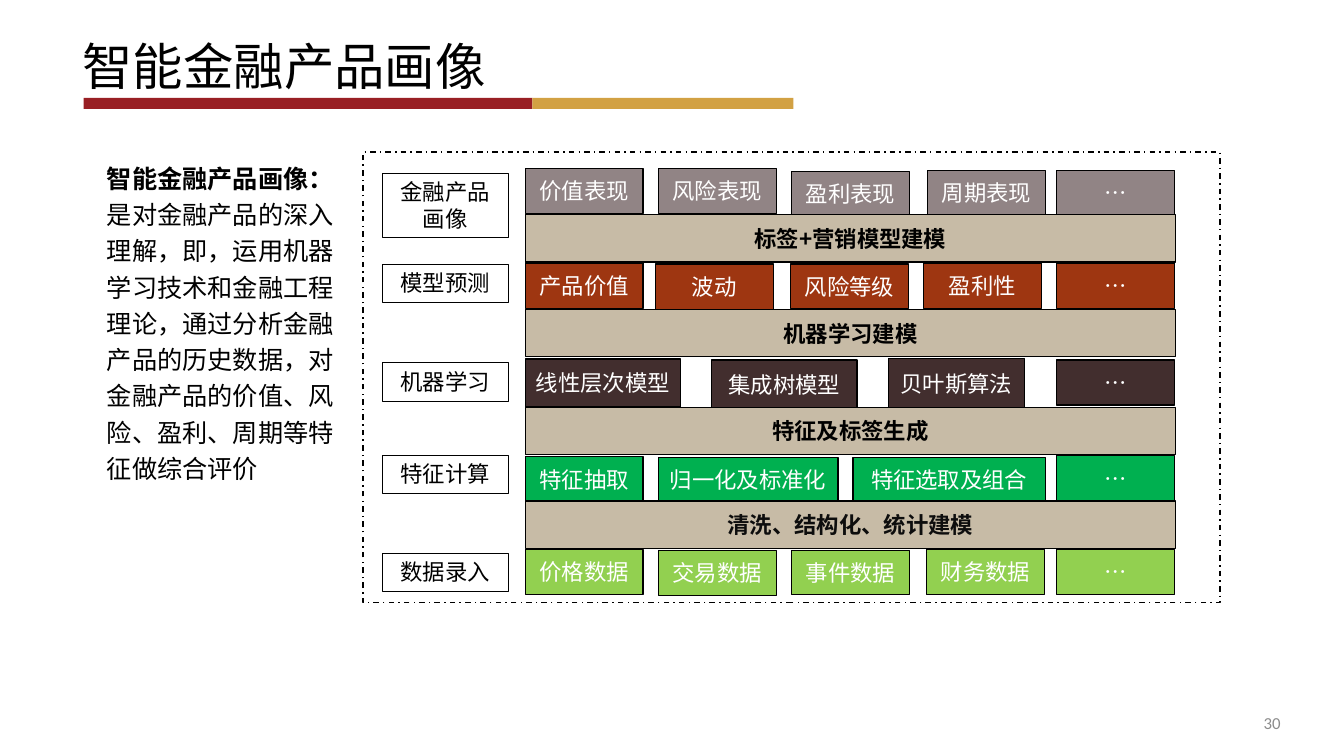
"""Build the slide on layered profiling of financial products."""
from dataclasses import dataclass
from typing import NamedTuple, Optional

from lxml.etree import SubElement
from pptx import Presentation
from pptx.dml.color import RGBColor
from pptx.enum.dml import MSO_LINE
from pptx.enum.lang import MSO_LANGUAGE_ID
from pptx.enum.shapes import MSO_SHAPE
from pptx.enum.text import MSO_ANCHOR, PP_ALIGN
from pptx.oxml.ns import qn
from pptx.util import Inches, Pt

CJK = "Noto Sans CJK SC"
BLACK, WHITE = "000000", "FFFFFF"
STACK_LEFT, MORE_LEFT = 5.21, 10.48


class Area(NamedTuple):
    left: float
    top: float
    width: float
    height: float


class Block(NamedTuple):
    text: str
    left: float
    top: float
    width: float = 1.17
    height: float = 0.45


class Band(NamedTuple):
    text: str
    top: float
    color: str = BLACK


@dataclass
class Layer:
    label: str
    label_top: float
    fill: str
    blocks: list[Block]
    label_height: float = 0.38


LAYERS = [
    Layer("金融产品\n画像", 1.72, "918485", [
        Block("价值表现", STACK_LEFT, 1.67),
        Block("风险表现", 6.53, 1.67),
        Block("盈利表现", 7.85, 1.7, height=0.44),
        Block("周期表现", 9.2, 1.69),
        Block("…", MORE_LEFT, 1.69),
    ], 0.64),
    Layer("模型预测", 2.62, "9E3611", [
        Block("产品价值", STACK_LEFT, 2.61),
        Block("波动", 6.5, 2.62),
        Block("风险等级", 7.84, 2.62, height=0.44),
        Block("盈利性", 9.16, 2.61),
        Block("…", MORE_LEFT, 2.61),
    ]),
    Layer("机器学习", 3.6, "422E2E", [
        Block("线性层次模型", STACK_LEFT, 3.56, 1.54, 0.48),
        Block("集成树模型", 7.06, 3.57, 1.44, 0.48),
        Block("贝叶斯算法", 8.81, 3.56, 1.35, 0.5),
        Block("…", MORE_LEFT, 3.57),
    ]),
    Layer("特征计算", 4.52, "00B050", [
        Block("特征抽取", STACK_LEFT, 4.53),
        Block("归一化及标准化", 6.53, 4.54, 1.78, 0.44),
        Block("特征选取及组合", 8.46, 4.54, 1.91, 0.44),
        Block("…", MORE_LEFT, 4.52),
    ]),
    Layer("数据录入", 5.49, "92D050", [
        Block("价格数据", STACK_LEFT, 5.45),
        Block("交易数据", 6.53, 5.46),
        Block("事件数据", 7.85, 5.46, height=0.44),
        Block("财务数据", 9.19, 5.45),
        Block("…", MORE_LEFT, 5.45),
    ]),
]

BANDS = [
    Band("标签+营销模型建模", 2.13),
    Band("机器学习建模", 3.07),
    Band("特征及标签生成", 4.04),
    Band("清洗、结构化、统计建模", 4.97, "0D0D0D"),
]


def rgb(color: str) -> RGBColor:
    return RGBColor.from_string(color)


def add_run(paragraph, text: str, size: float, color: str = BLACK,
            bold: bool = False, face: str = CJK) -> None:
    run = paragraph.add_run()
    run.text = text
    run.font.color.rgb = rgb(color)
    formats = {"size": Pt(size), "bold": bold, "name": face,
               "language_id": MSO_LANGUAGE_ID.SIMPLIFIED_CHINESE}
    for attribute, value in formats.items():
        setattr(run.font, attribute, value)
    SubElement(run.font._element, qn("a:ea")).set("typeface", face)


def add_text(slide, area: Area, anchor: MSO_ANCHOR = MSO_ANCHOR.TOP,
             inset: Optional[float] = None):
    frame = slide.shapes.add_textbox(*map(Inches, area)).text_frame
    formats = {"word_wrap": True, "vertical_anchor": anchor}
    if inset is not None:
        for side in ("left", "top", "right", "bottom"):
            formats[f"margin_{side}"] = Inches(inset)
    for attribute, value in formats.items():
        setattr(frame, attribute, value)
    return frame.paragraphs[0]


def add_box(slide, area: Area, fill: Optional[str] = None,
            line_width: float = 0, dash: Optional[MSO_LINE] = None):
    box = slide.shapes.add_shape(MSO_SHAPE.RECTANGLE, *map(Inches, area))
    box.shadow.inherit = False
    if fill:
        box.fill.solid()
        box.fill.fore_color.rgb = rgb(fill)
    else:
        box.fill.background()
    if line_width:
        box.line.color.rgb = rgb(BLACK)
        box.line.width = Pt(line_width)
        if dash:
            box.line.dash_style = dash
    else:
        box.line.fill.background()
    return box


def write_centred(box, text: str, color: str = BLACK, bold: bool = False,
                  anchor: MSO_ANCHOR = MSO_ANCHOR.MIDDLE) -> None:
    frame = box.text_frame
    frame.word_wrap = True
    frame.vertical_anchor = anchor
    for index, line in enumerate(text.split("\n")):
        paragraph = frame.add_paragraph() if index else frame.paragraphs[0]
        paragraph.alignment = PP_ALIGN.CENTER
        add_run(paragraph, line, 16, color, bold)


def add_layer(slide, layer: Layer) -> None:
    label_area = Area(3.79, layer.label_top, 1.25, layer.label_height)
    label = add_box(slide, label_area, line_width=0.75)
    write_centred(label, layer.label, anchor=MSO_ANCHOR.TOP)
    for text, *area in layer.blocks:
        block = add_box(slide, Area(*area), layer.fill, 1)
        write_centred(block, text, WHITE)


def main() -> None:
    deck = Presentation()
    deck.slide_width, deck.slide_height = Inches(13.33), Inches(7.5)
    slide = deck.slides.add_slide(deck.slide_layouts[6])

    title = add_text(slide, Area(0.72, 0.3, 7.67, 0.71))
    add_run(title, "智能金融产品画像", 36)
    add_box(slide, Area(0.83, 0.97, 4.45, 0.11), "991F24")
    add_box(slide, Area(5.28, 0.97, 2.59, 0.11), "D2A143")

    definition = add_text(slide, Area(1.01, 1.51, 2.36, 3.34), inset=0.05)
    definition.line_spacing = 1.2
    add_run(definition, "智能金融产品画像：", 18, bold=True)
    add_run(definition, "是对金融产品的深入理解，即，运用机器学习技术和金融工程理论，"
            "通过分析金融产品的历史数据，对金融产品的价值、风险、盈利、周期等特征做综合评价", 18)

    add_box(slide, Area(3.6, 1.51, 8.5, 4.47), line_width=1, dash=MSO_LINE.DASH_DOT)
    for layer in LAYERS:
        add_layer(slide, layer)
    for band in BANDS:
        bar = add_box(slide, Area(STACK_LEFT, band.top, 6.45, 0.47), "C7BBA6", 1)
        write_centred(bar, band.text, band.color, bold=True)

    page_number = add_text(slide, Area(9.62, 7.06, 3.18, 0.23), MSO_ANCHOR.MIDDLE)
    page_number.alignment = PP_ALIGN.RIGHT
    add_run(page_number, "30", 12, "8C8C8C", face="Calibri")
    deck.save("out.pptx")


if __name__ == "__main__":
    main()
